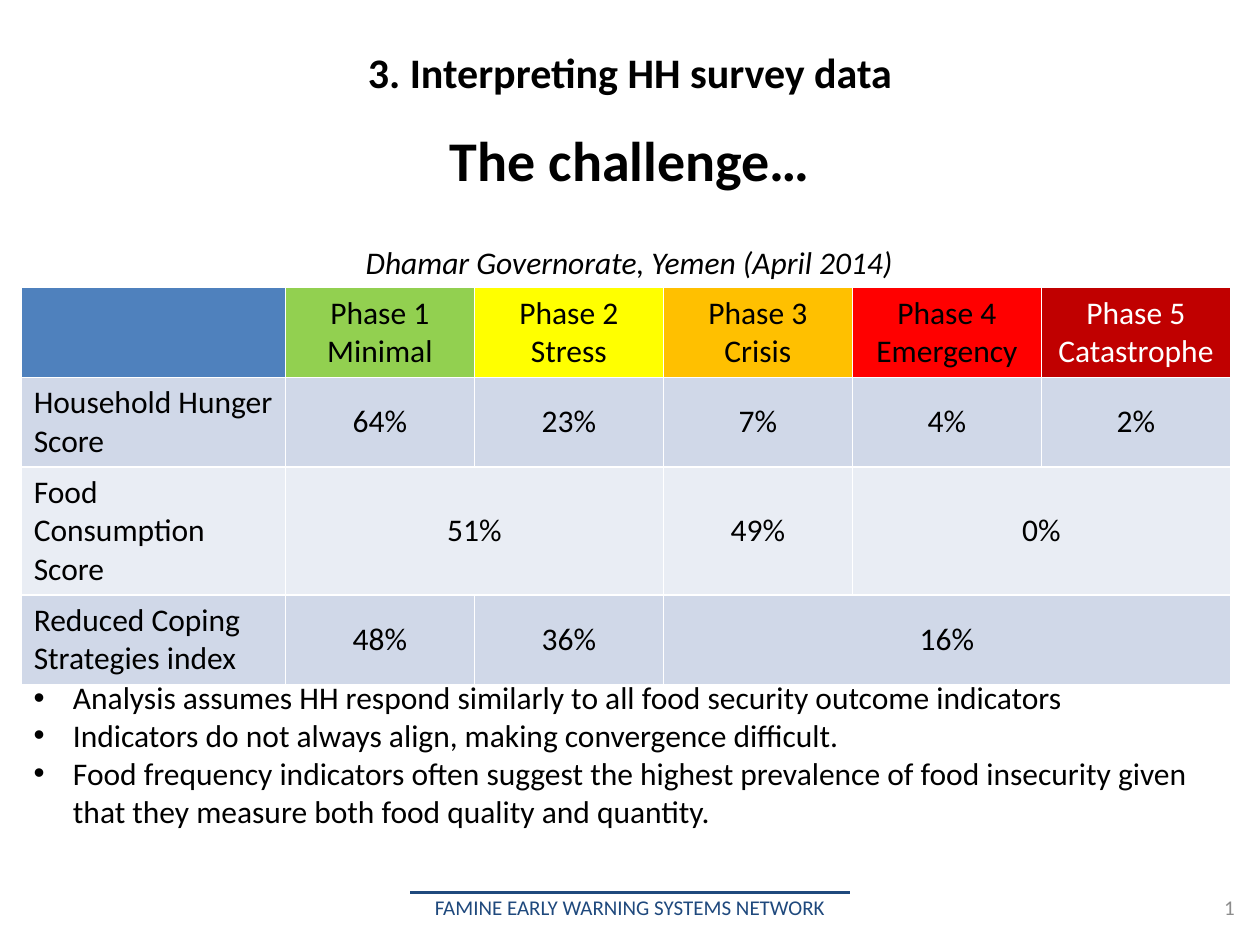
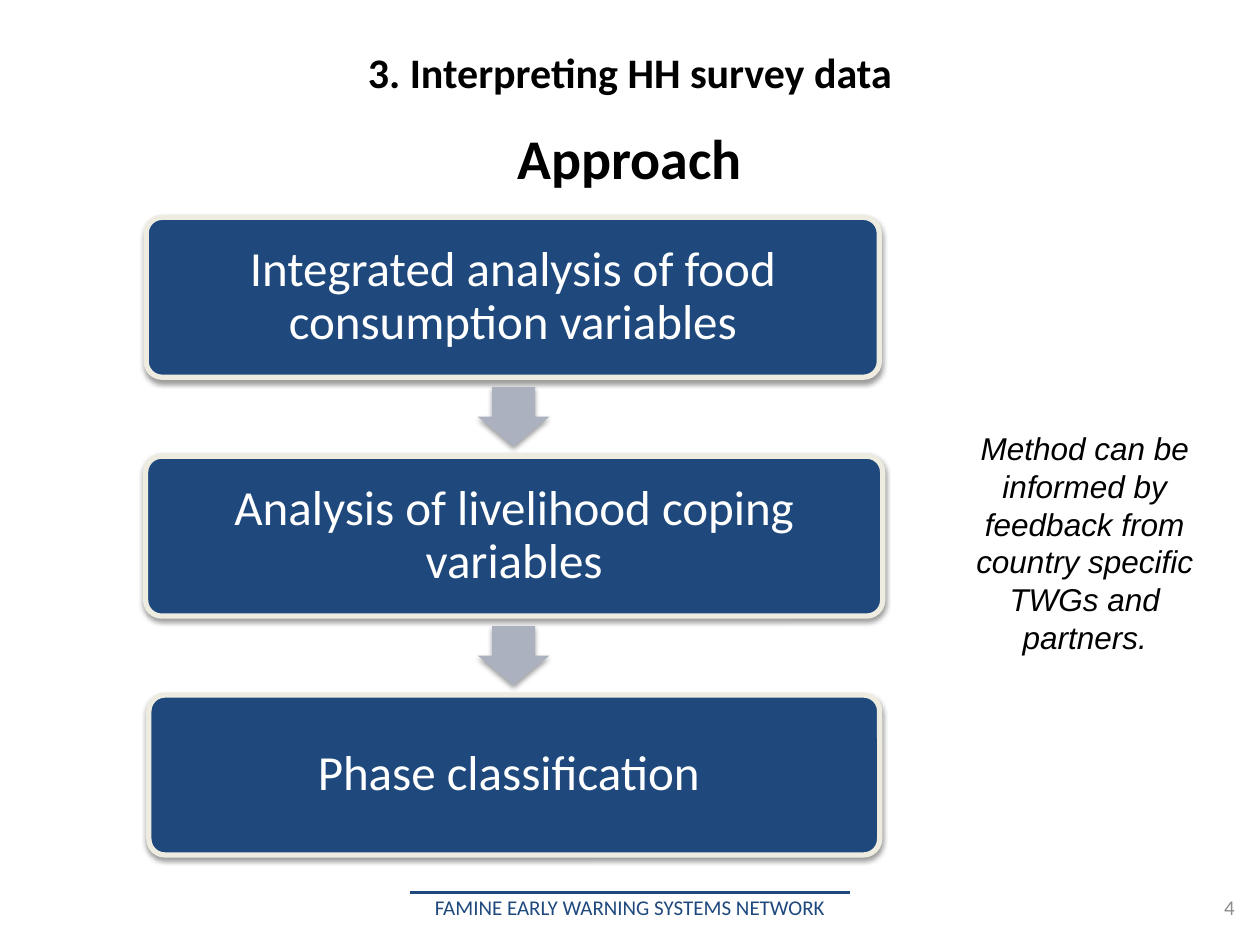
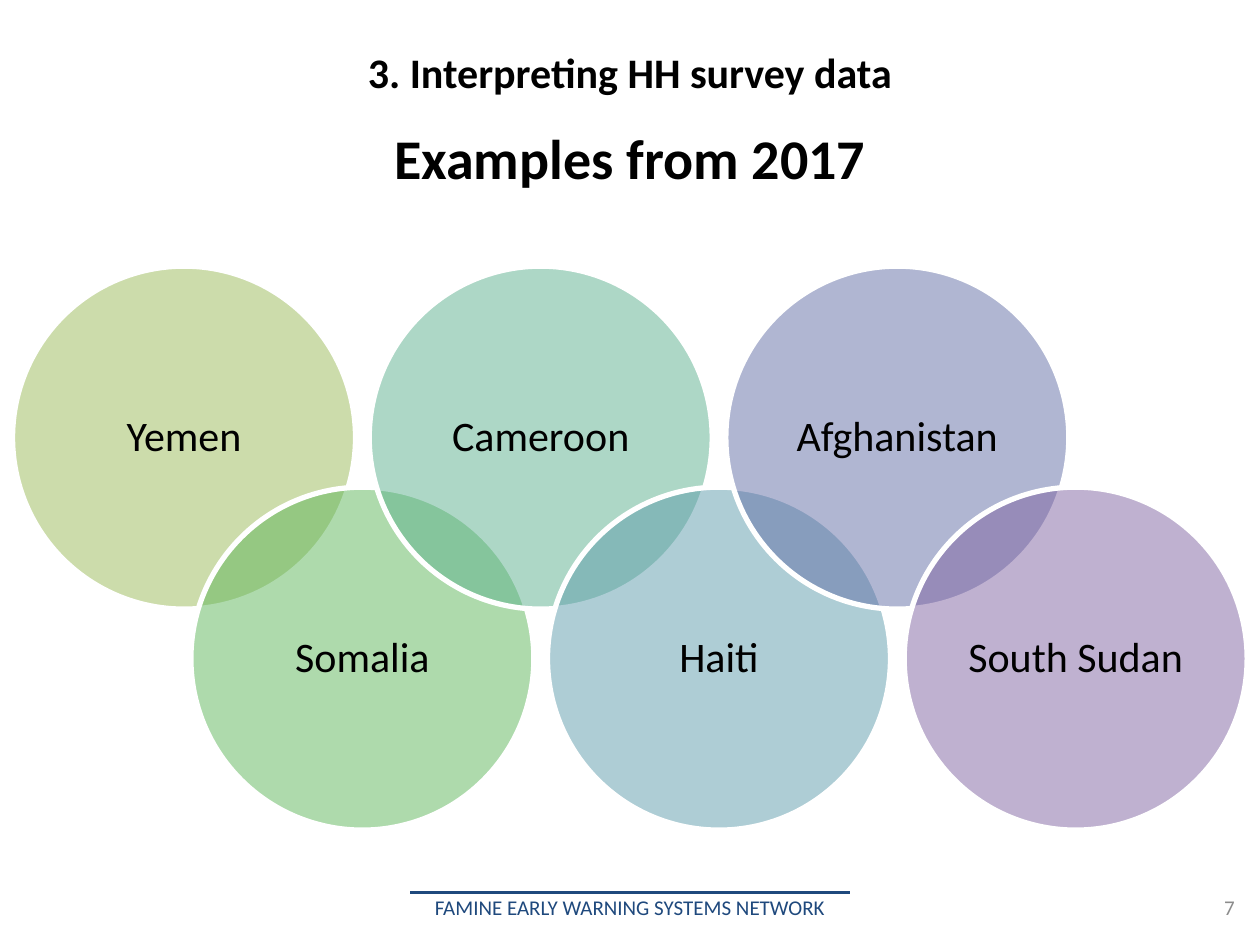
import pptx
import pptx.dml.color
import pptx.enum.shapes
import pptx.enum.text
import pptx.oxml
import pptx.oxml.ns
import pptx.util

Pt = pptx.util.Pt
qn = pptx.oxml.ns.qn
SHAPES = pptx.enum.shapes.MSO_SHAPE
ALIGN = pptx.enum.text.PP_ALIGN
ANCHOR = pptx.enum.text.MSO_ANCHOR
NAMESPACE = pptx.oxml.ns.nsdecls("a")

BLACK, WHITE, NAVY, CREAM = "000000", "FFFFFF", "1F497D", "EEECE1"
GRAY, ARROW_GRAY, HEADER_BLUE = "8C8C8C", "ACB1BF", "4F81BD"
SECTION = "3. Interpreting HH survey data"
SECTION_BOX = (7.2, 12.2, 705.6, 57.6)
TOPIC_BOX = (7.2, 61.2, 705.6, 57.6)


def color(hex_string):
    return pptx.dml.color.RGBColor.from_string(hex_string)


def points(*lengths):
    return [Pt(length) for length in lengths]


def write_text(frame, text, wrap=True, anchor=None, margins=None, **paragraph_format):
    frame.word_wrap = wrap
    frame.auto_size = pptx.enum.text.MSO_AUTO_SIZE.NONE
    if anchor is not None:
        frame.vertical_anchor = anchor
    if margins is not None:
        frame.margin_left = frame.margin_top = frame.margin_right = frame.margin_bottom = Pt(margins)
    fill_paragraphs(frame, text, **paragraph_format)


def fill_paragraphs(frame, text, size=18, font="Calibri", fill=BLACK, bold=False, italic=False,
                    underline=False, align=ALIGN.CENTER, spacing=1.0, hanging=None):
    for index, line in enumerate(text.split("\n")):
        paragraph = frame.paragraphs[0] if index == 0 else frame.add_paragraph()
        paragraph.alignment = align
        paragraph.line_spacing = spacing
        paragraph.space_before = paragraph.space_after = Pt(0)
        if hanging:
            properties = paragraph._p.get_or_add_pPr()
            properties.set("marL", str(Pt(hanging)))
            properties.set("indent", str(-Pt(hanging)))
        run = paragraph.add_run()
        run.text = line
        run.font.size, run.font.name = Pt(size), font
        run.font.bold, run.font.italic, run.font.underline = bold, italic, underline
        run.font.color.rgb = color(fill)


def add_text(slide, box, text, **text_format):
    shape = slide.shapes.add_textbox(*points(*box))
    write_text(shape.text_frame, text, **text_format)


def fill_placeholder(placeholder, box, text, **text_format):
    placeholder.left, placeholder.top, placeholder.width, placeholder.height = points(*box)
    write_text(placeholder.text_frame, text, **text_format)


def add_shape(slide, kind, box, fill, line=None, alpha=None, shadow=False):
    shape = slide.shapes.add_shape(kind, *points(*box))
    shape.fill.solid()
    shape.fill.fore_color.rgb = color(fill)
    properties = shape._element.spPr
    if alpha:
        solid = properties.find(qn("a:solidFill")).find(qn("a:srgbClr"))
        solid.append(pptx.oxml.parse_xml(f'<a:alpha {NAMESPACE} val="{alpha * 1000}"/>'))
    if line:
        shape.line.color.rgb = color(line)
        shape.line.width = Pt(3)
    else:
        shape.line.fill.background()
    shape.shadow.inherit = False
    if shadow:
        properties.find(qn("a:effectLst")).append(pptx.oxml.parse_xml(
            f'<a:outerShdw {NAMESPACE} blurRad="{Pt(3.1)}" dist="{Pt(1.6)}" dir="5400000" '
            f'rotWithShape="0"><a:srgbClr val="{BLACK}"><a:alpha val="38000"/></a:srgbClr></a:outerShdw>'))
    return shape


def add_footer(slide, number):
    shared = dict(size=12, wrap=False, anchor=ANCHOR.MIDDLE, margins=0)
    add_text(slide, (216, 496.6, 288, 14.6), "_" * 42, fill=NAVY, underline=True, **shared)
    add_text(slide, (216, 511.2, 288, 14.6), "FAMINE EARLY WARNING SYSTEMS NETWORK", fill=NAVY, **shared)
    add_text(slide, (561.6, 511.2, 144, 14.6), str(number), fill=GRAY, align=ALIGN.RIGHT, **shared)


def start_slide(presentation, layout_index, number):
    slide = presentation.slides.add_slide(presentation.slide_layouts[layout_index])
    add_footer(slide, number)
    return slide


def start_topic_slide(presentation, number, topic):
    slide = start_slide(presentation, 5, number)
    fill_placeholder(slide.shapes.title, TOPIC_BOX, topic, size=32, bold=True, anchor=ANCHOR.MIDDLE)
    add_text(slide, SECTION_BOX, SECTION, size=24, bold=True, anchor=ANCHOR.MIDDLE)
    return slide


def format_cell(cell, text, fill, text_fill=BLACK, align=ALIGN.CENTER, anchor=ANCHOR.MIDDLE):
    cell.fill.solid()
    cell.fill.fore_color.rgb = color(fill)
    cell.vertical_anchor = anchor
    if text:
        fill_paragraphs(cell.text_frame, text, fill=text_fill, align=align)


def add_phase_table(slide, left, top):
    phases = [("", HEADER_BLUE, BLACK), ("Phase 1\nMinimal", "92D050", BLACK),
              ("Phase 2\nStress", "FFFF00", BLACK), ("Phase 3\nCrisis", "FFC000", BLACK),
              ("Phase 4\nEmergency", "FF0000", BLACK), ("Phase 5\nCatastrophe", "C00000", WHITE)]
    indicators = [
        ("Household Hunger Score", [("64%", 1), ("23%", 1), ("7%", 1), ("4%", 1), ("2%", 1)]),
        ("Food Consumption Score", [("51%", 2), ("49%", 1), ("0%", 2)]),
        ("Reduced Coping Strategies index", [("48%", 1), ("36%", 1), ("16%", 3)])]
    widths, heights = [151] + [108] * 5, [51.2, 51.2, 73, 51.2]
    table = slide.shapes.add_table(
        len(heights), len(widths), *points(left, top, sum(widths), sum(heights))).table
    for column, width in zip(table.columns, widths):
        column.width = Pt(width)
    for row, height in zip(table.rows, heights):
        row.height = Pt(height)
    for column, (text, fill, text_fill) in enumerate(phases):
        format_cell(table.cell(0, column), text, fill, text_fill, anchor=ANCHOR.TOP)
    for row, (indicator, shares) in enumerate(indicators, 1):
        fill = "D0D8E8" if row % 2 else "E9EDF4"
        format_cell(table.cell(row, 0), indicator, fill, align=ALIGN.LEFT, anchor=ANCHOR.TOP)
        column = 1
        for share, span in shares:
            if span > 1:
                table.cell(row, column).merge(table.cell(row, column + span - 1))
            format_cell(table.cell(row, column), share, fill)
            column += span


def build_challenge(presentation):
    slide = start_slide(presentation, 1, 1)
    fill_placeholder(slide.shapes.title, SECTION_BOX, SECTION, size=24, bold=True, anchor=ANCHOR.MIDDLE)
    add_text(slide, (0, 68.1, 720, 46), "The challenge…", size=32, bold=True)
    add_text(slide, (200.9, 135.4, 317.5, 29), "Dhamar Governorate, Yemen (April 2014)",
             italic=True, wrap=False)
    add_phase_table(slide, 12.1, 164.4)
    findings = ("Analysis assumes HH respond similarly to all food security outcome indicators\n"
                "Indicators do not always align, making convergence difficult.\n"
                "Food frequency indicators often suggest the highest prevalence of food insecurity "
                "given that they measure both food quality and quantity.")
    fill_placeholder(slide.placeholders[1], (12, 384, 691.2, 94.3), findings,
                     align=ALIGN.LEFT, hanging=22.5)


def add_steps(slide, center, top):
    steps = [("Integrated analysis of food consumption variables", 419, -0.5),
             ("Analysis of livelihood coping variables", 421.2, 0.3),
             ("Phase classification ", 417.6, 0.4)]
    height, pitch = 91.4, 136.5
    arrow_width, arrow_height = 33.8, 41
    for index, (text, width, shift) in enumerate(steps):
        step_top = top + index * pitch
        step = add_shape(slide, SHAPES.ROUNDED_RECTANGLE,
                         (center + shift - width / 2, step_top, width, height),
                         NAVY, line=CREAM, shadow=True)
        step.adjustments[0] = 0.1
        write_text(step.text_frame, text, size=28, fill=WHITE, spacing=0.9,
                   anchor=ANCHOR.MIDDLE, margins=9)
        if index < len(steps) - 1:
            arrow_top = step_top + (height + pitch - arrow_height) / 2
            arrow = add_shape(slide, SHAPES.RIGHT_ARROW,
                              (center - arrow_width / 2, arrow_top, arrow_width, arrow_height),
                              ARROW_GRAY, shadow=True)
            arrow.rotation = 90
            arrow.adjustments[0], arrow.adjustments[1] = 0.6, 0.5


def build_approach(presentation):
    slide = start_topic_slide(presentation, 4, "Approach")
    add_steps(slide, 293.5, 124.2)
    add_text(slide, (536.7, 241.6, 166.3, 116.6),
             "Method can be informed by feedback from country specific TWGs and partners.",
             font="Arial", italic=True)


def add_country_circles(slide, left, top):
    countries = [("Yemen", "9BBB59"), ("Somalia", "5FB65B"), ("Cameroon", "5DB18E"),
                 ("Haiti", "5F9DAC"), ("Afghanistan", "626EA7"), ("South Sudan", "8064A2")]
    diameter, step, drop = 196, 101.9, 126.3
    for index, (country, fill) in enumerate(countries):
        box = (left + index * step, top + index % 2 * drop, diameter, diameter)
        circle = add_shape(slide, SHAPES.OVAL, box, fill, line=WHITE, alpha=50)
        write_text(circle.text_frame, country, size=24, spacing=0.9, wrap=False,
                   anchor=ANCHOR.MIDDLE, margins=7.2)


def build_examples(presentation):
    slide = start_topic_slide(presentation, 7, "Examples from 2017")
    add_country_circles(slide, 7.2, 152.1)


def main():
    presentation = pptx.Presentation()
    presentation.slide_width, presentation.slide_height = points(720, 540)
    build_challenge(presentation)
    build_approach(presentation)
    build_examples(presentation)
    presentation.save("out.pptx")


if __name__ == "__main__":
    main()
